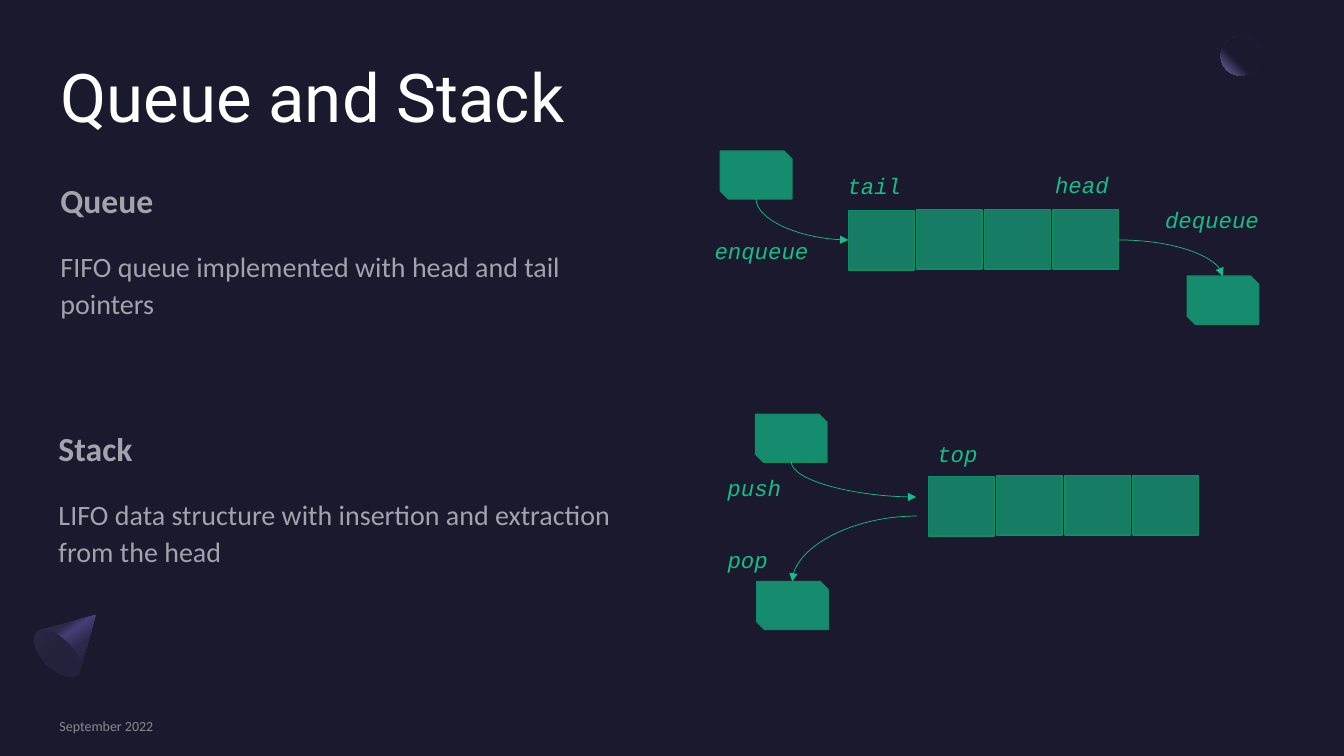
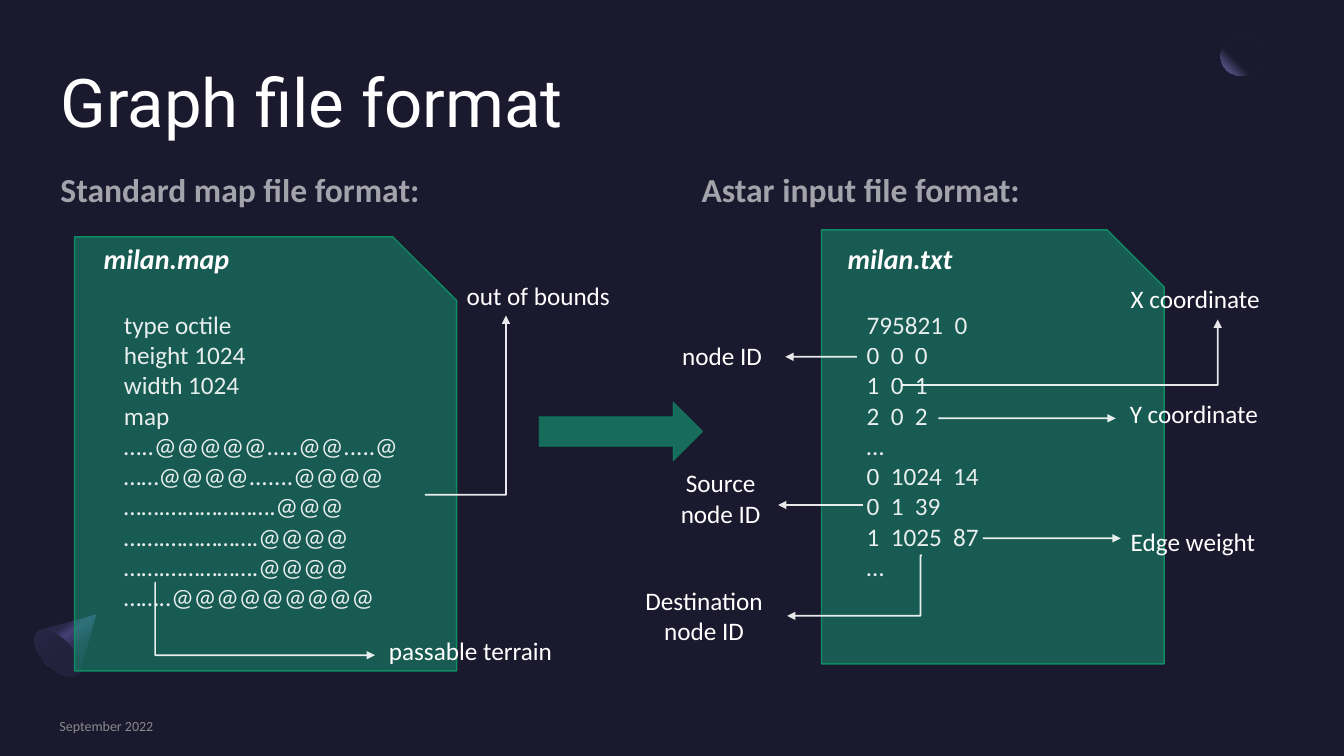
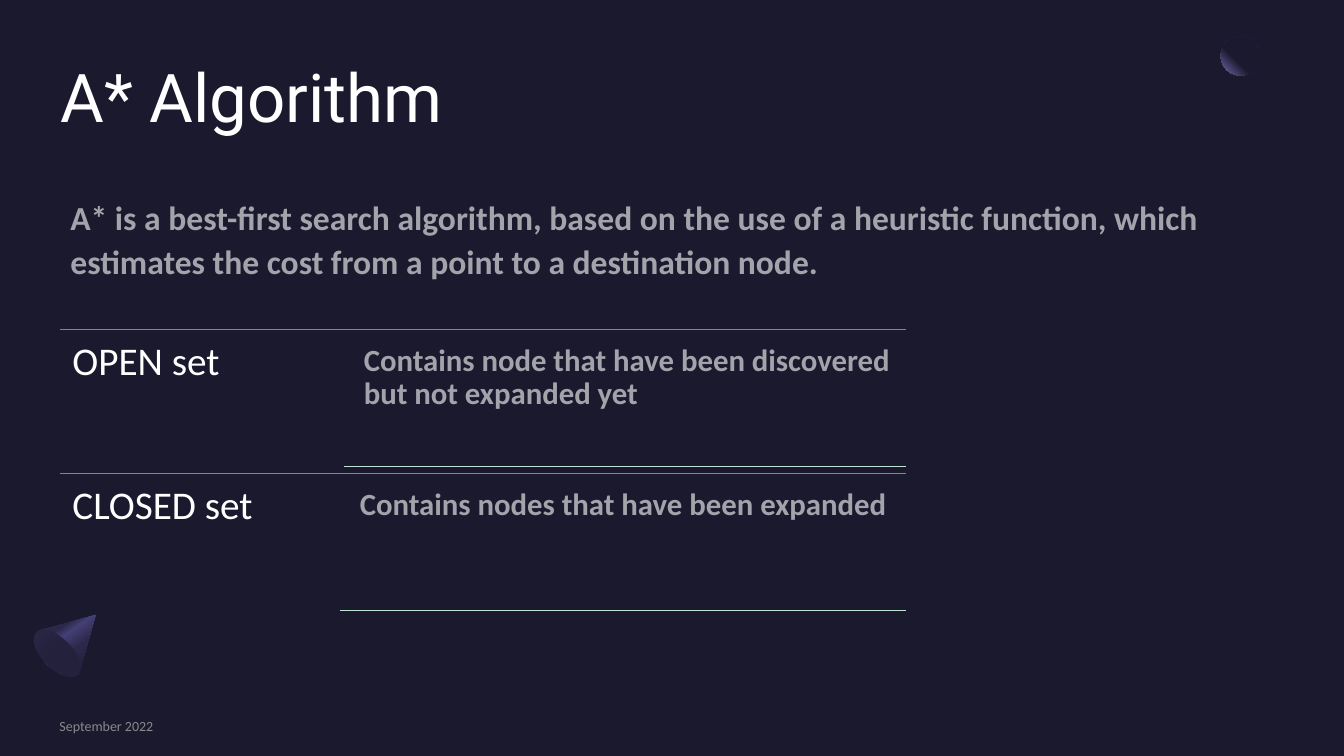
from lxml.etree import SubElement
from pptx import Presentation
from pptx.dml.color import RGBColor
from pptx.enum.shapes import MSO_CONNECTOR, MSO_SHAPE
from pptx.enum.text import MSO_ANCHOR, PP_ALIGN
from pptx.oxml import parse_xml
from pptx.oxml.ns import nsdecls, qn
from pptx.util import Pt

NIGHT = RGBColor(0x1B, 0x19, 0x2E)
WHITE = RGBColor(0xFF, 0xFF, 0xFF)
GRAY = RGBColor(0xA6, 0xA6, 0xA6)
GREEN = RGBColor(0x13, 0xBE, 0x89)
EDGE = RGBColor(0x0E, 0x8D, 0x65)
MINT = RGBColor(0xBD, 0xE2, 0xCF)
LILAC = RGBColor(0x77, 0x71, 0xB2)
PLUM = RGBColor(0x2C, 0x28, 0x4A)
GLOW = RGBColor(0x45, 0x40, 0x75)
DUSK = RGBColor(0x23, 0x21, 0x3C)


def paint(fill, root, color, alpha=100):
    """Set a solid fill; its colour must be the last one inside root."""
    fill.solid()
    fill.fore_color.rgb = color
    if alpha < 100:
        last = list(root.iter(qn("a:srgbClr")))[-1]
        SubElement(last, qn("a:alpha")).set("val", str(alpha * 1000))


def write(slide, text, x, y, w, h, font="Calibri", size=18, color=WHITE,
          alpha=100, bold=False, italic=False, align=PP_ALIGN.LEFT,
          anchor=MSO_ANCHOR.TOP, inset=None, wrap=True, lead=None,
          rest=None):
    """Add a text box; rest is the size of the plain text after a heading."""
    box = slide.shapes.add_textbox(Pt(x), Pt(y), Pt(w), Pt(h))
    frame = box.text_frame
    frame.word_wrap = wrap
    frame.vertical_anchor = anchor
    if inset is not None:
        frame.margin_left = frame.margin_right = Pt(inset)
        frame.margin_top = frame.margin_bottom = Pt(inset)
    for i, line in enumerate(text.split("\n")):
        para = frame.add_paragraph() if i else frame.paragraphs[0]
        para.alignment = align
        if lead:
            para.line_spacing = lead
        if rest:
            para.space_before = Pt(10 if i else 0)
            para.space_after = Pt(8)
        run = para.add_run()
        run.text = line
        later = i and rest
        run.font.name = font
        run.font.size = Pt(rest if later else size)
        run.font.bold = False if later else bold
        run.font.italic = italic
        paint(run.font.fill, run._r, color, alpha)


# Deck
deck = Presentation()
deck.slide_width, deck.slide_height = Pt(960), Pt(540)
back = deck.slide_master.background.fill
back.solid()
back.fore_color.rgb = NIGHT

# Shared look: moon, cone, title and footer
CONE = [(68.4, 439.2), (56.9, 479.5), (56.2, 481.7), (51, 483.5),
        (43, 481.5), (33.1, 474.5), (26.5, 464.5), (24.3, 456.5),
        (25.9, 451.4), (28.1, 450)]
MOON = ('<a:path path="circle">'
        '<a:fillToRect l="100000" b="100000"/></a:path>')
slides = []
for title, top in [("Queue and Stack", 39.6), ("Graph file format", 43.2),
                   ("A* Algorithm", 39.6)]:
    slide = deck.slides.add_slide(deck.slide_layouts[6])
    slides.append(slide)
    moon = slide.shapes.add_shape(
        MSO_SHAPE.OVAL, Pt(871.9), Pt(25.9), Pt(28.1), Pt(28.1))
    path = [(Pt(x), Pt(y)) for x, y in CONE]
    pen = slide.shapes.build_freeform(*path[0])
    pen.add_line_segments(path[1:], close=True)
    cone = pen.convert_to_shape()
    base = slide.shapes.add_shape(
        MSO_SHAPE.OVAL, Pt(30.2), Pt(445.7), Pt(21.6), Pt(42.5))
    base.rotation = 135
    for shape, stops, way in [
            (moon, [(60, NIGHT), (100, LILAC)], MOON),
            (cone, [(30, PLUM), (40, GLOW), (60, PLUM), (100, NIGHT)],
             '<a:lin ang="3300000" scaled="0"/>'),
            (base, [(50, DUSK), (100, PLUM)],
             '<a:lin ang="5400000" scaled="0"/>')]:
        marks = "".join(
            f'<a:gs pos="{pos * 1000}"><a:srgbClr val="{color}"/></a:gs>'
            for pos, color in stops)
        shape.shadow.inherit = False
        shape.line.fill.background()
        shape._element.spPr.insert(2, parse_xml(
            f'<a:gradFill {nsdecls("a")} rotWithShape="1">'
            f'<a:gsLst>{marks}</a:gsLst>{way}</a:gradFill>'))
    write(slide, title, 43.2, top, 873.4, 77, font="Roboto", size=48, inset=0)
    write(slide, "September 2022", 42.5, 512.6, 207.4, 12.2, size=10,
          color=GRAY, alpha=80, anchor=MSO_ANCHOR.MIDDLE, inset=0)
lists, files, search = slides

# Green shapes: slide, kind, left, top, width, height, fill and line alpha
CELL, ITEM = MSO_SHAPE.RECTANGLE, MSO_SHAPE.SNIP_2_DIAG_RECTANGLE
CARD, ARROW = MSO_SHAPE.SNIP_ROUND_RECTANGLE, MSO_SHAPE.RIGHT_ARROW
parts = [(lists, CELL, x + 48.7 * i, y if i else y + 0.7, 46.8, 42.5, 60, 100)
         for x, y in [(606, 149.8), (663.2, 339.8)] for i in range(4)]
parts += [(lists, ITEM, x, y, 51, 34.3, 70, 100)
          for x, y in [(514.6, 107.9), (848, 197.3),
                       (539.7, 295.9), (540.5, 415.4)]]
parts += [(files, CARD, 586.8, 164.2, 244.8, 310, 40, 100),
          (files, CARD, 53.3, 169.2, 272.9, 310, 40, 100),
          (files, ARROW, 385.2, 287.3, 116.6, 41.8, 50, 50)]
for slide, kind, x, y, w, h, alpha, rim in parts:
    shape = slide.shapes.add_shape(kind, Pt(x), Pt(y), Pt(w), Pt(h))
    shape.shadow.inherit = False
    if kind == CARD:
        shape.adjustments[0], shape.adjustments[1] = 0, 0.167
    paint(shape.fill, shape._element, GREEN, alpha)
    paint(shape.line.fill, shape._element, EDGE, rim)
    shape.line.width = Pt(1)

# Lines: slide, form, start, end, bend place, colour, width, alpha, arrow
LINE, BENT = MSO_CONNECTOR.STRAIGHT, MSO_CONNECTOR.ELBOW
CURVE = MSO_CONNECTOR.CURVE
TWO = {BENT: "bentConnector2", CURVE: "curvedConnector2"}
links = [(lists, CURVE, *ends, bend, GREEN, 0.5, 100, True)
         for *ends, bend in [(540, 141.8, 606, 171.4, "down"),
                             (798.5, 171.4, 873.4, 197.3, None),
                             (565.2, 329.8, 654.5, 355, "down"),
                             (655.2, 368.6, 565.9, 415.4, None)]]
links += [(files, form, *ends, bend, WHITE, 1.25, 90, True)
          for form, *ends, bend in [
              (LINE, 612, 254.9, 560.9, 254.9, None),
              (LINE, 670.3, 298.8, 797, 298.8, None),
              (LINE, 616.3, 360.7, 555.8, 360.7, None),
              (LINE, 702, 384.5, 800.6, 384.5, None),
              (BENT, 110.5, 416.2, 267.8, 468, 200),
              (BENT, 303.5, 353.5, 361.4, 225.4, None),
              (BENT, 658.5, 396.7, 562.3, 439.9, 1000),
              (BENT, 644.4, 275, 869.8, 228.2, None)]]
links += [(search, LINE, x, y, 647, y, None, color, width, 100, False)
          for x, y, color, width in [(43.2, 235.4, GREEN, 0.5),
                                     (245.5, 333.4, MINT, 1),
                                     (43.2, 338.4, GREEN, 0.5),
                                     (242.6, 436.3, MINT, 1)]]
for slide, form, x, y, far, low, bend, color, width, alpha, tip in links:
    link = slide.shapes.add_connector(form, Pt(x), Pt(y), Pt(far), Pt(low))
    props = link._element.spPr
    geom = props.find(qn("a:prstGeom"))
    if isinstance(bend, int):
        guide = SubElement(geom.find(qn("a:avLst")), qn("a:gd"))
        guide.set("name", "adj1")
        guide.set("fmla", f"val {bend}")
    elif form in TWO:
        geom.set("prst", TWO[form])
    if bend == "down":  # leave downwards: a turned, mirrored frame
        w, h = far - x, low - y
        link.left, link.top = Pt(x + (w - h) / 2), Pt(y + (h - w) / 2)
        link.width, link.height = Pt(h), Pt(w)
        props.xfrm.set("rot", "16200000")
        props.xfrm.set("flipH", "1")
    paint(link.line.fill, link._element, color, alpha)
    link.line.width = Pt(width)
    if tip:
        SubElement(props.find(qn("a:ln")), qn("a:tailEnd")).set(
            "type", "triangle")
    SubElement(props, qn("a:effectLst"))

# Text of slide 1
HEAD = dict(size=24, alpha=60, bold=True, lead=1.1)
write(lists, "Queue\nFIFO queue implemented with head and tail pointers",
      43.2, 126, 427.7, 96.5, inset=0, rest=20, **HEAD)
write(lists, "Stack\nLIFO data structure with insertion and extraction "
      "from the head", 41.8, 303.1, 427.7, 134, inset=0, rest=20, **HEAD)
for word, x, y, w in [("dequeue", 825.1, 144, 82.8),
                      ("enqueue", 503.3, 165.6, 82.8),
                      ("tail", 598.3, 119.5, 53.3),
                      ("head", 746.6, 118.8, 53.3),
                      ("pop", 512.6, 386.6, 43.9),
                      ("push", 512.6, 334.8, 59.8),
                      ("top", 662.4, 311, 43.9)]:
    write(lists, word, x, y, w, 26.6, font="Courier New", size=16,
          color=GREEN, italic=True, wrap=False)

# Text of slide 2
MAP = """type octile
height 1024
width 1024
map
…..@@@@@.....@@.....@
……@@@@.......@@@@
…….……………….@@@
…….…………….@@@@
…….…………….@@@@
……..@@@@@@@@@"""
GRAPH = """795821  0
0  0  0
1  0  1
2  0  2
…
0  1024  14
0  1  39
1  1025  87
…"""
for head, name, body, left, x, start, w in [
        ("Standard map file format:", "milan.map", MAP, 43.2, 67, 81.4, 231),
        ("Astar input file format:", "milan.txt", GRAPH, 501.1, 598.3, 612,
         206)]:
    write(files, head, left, 118.1, 321.8, 33.8, inset=0, **HEAD)
    write(files, name, x, 169.2, 233.3, 31.7, size=20, bold=True, italic=True)
    write(files, body, start, 217.4, w, 225.4, alpha=90)
for label, x, y, w in [("node ID", 480.2, 239.8, 79.2),
                       ("X coordinate", 800.6, 198.7, 137.5),
                       ("Y coordinate", 799.9, 280.8, 121),
                       ("Edge weight", 800.6, 372.2, 109.4),
                       ("passable terrain", 270.7, 450, 146.9),
                       ("out of bounds", 326.2, 196.6, 146.9)]:
    write(files, label, x, y, w, 28.8)
for label, x, y, w in [("Source node ID", 475.2, 330.5, 79.2),
                       ("Destination node ID", 443.5, 414.7, 118.8)]:
    write(files, label, x, y, w, 51.1, align=PP_ALIGN.CENTER)

# Text of slide 3
write(search, "A* is a best-first search algorithm, based on the use of a "
      "heuristic function, which estimates the cost from a point to a "
      "destination node.", 43.2, 133.9, 873.4, 67, **HEAD)
for name, note, y, x in [
        ("OPEN set", "Contains node that have been discovered but not "
         "expanded yet", 235.4, 253.4),
        ("CLOSED set", "Contains nodes that have been expanded", 338.4,
         250.6)]:
    write(search, name, 43.2, y, 202, 103, size=28, inset=8.6, lead=0.9)
    write(search, note, x, y + 4.3, 647 - x, 93.6, size=22, alpha=60,
          bold=True, inset=6.5, lead=0.9)

deck.save("out.pptx")
